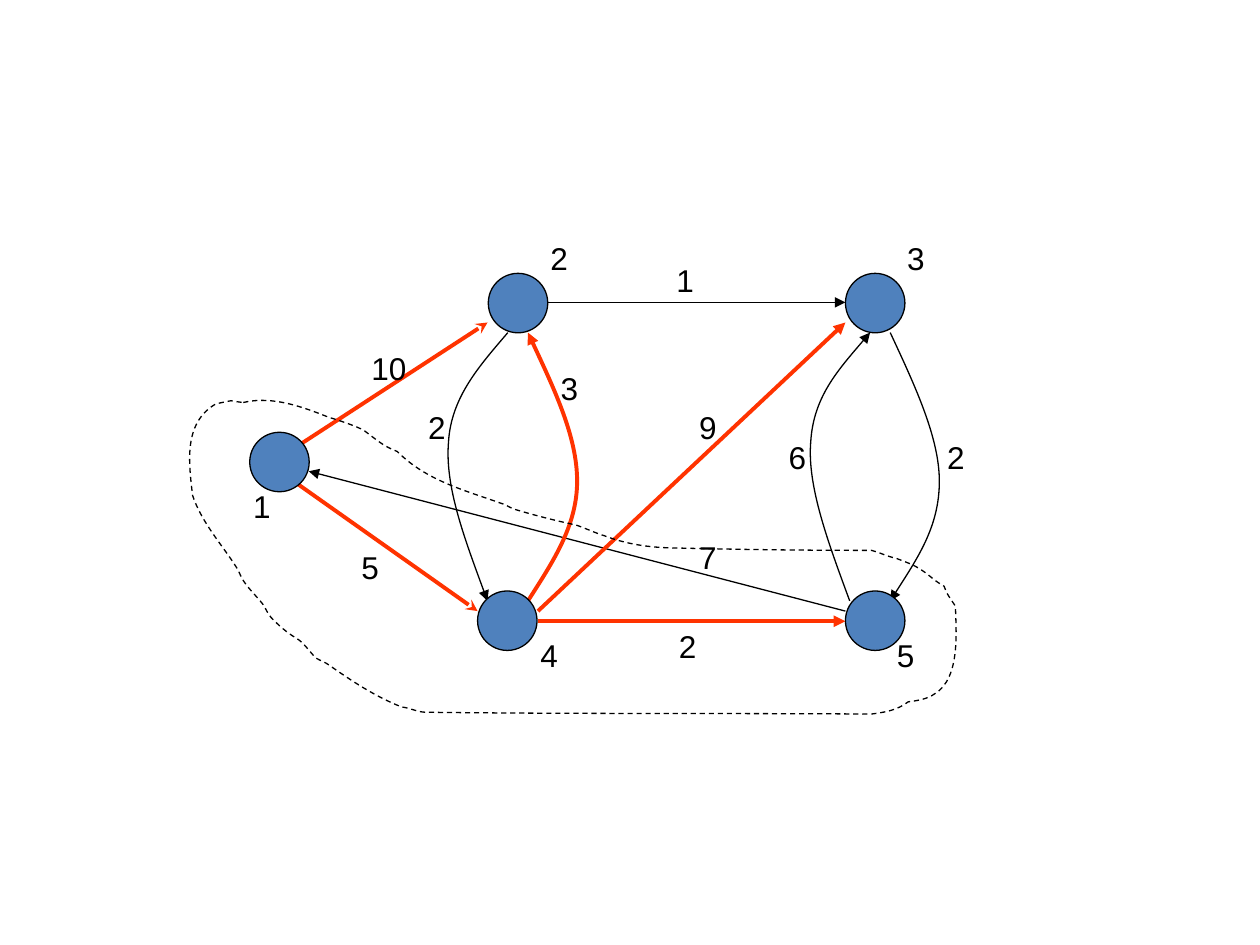
import pptx
import pptx.dml.color
import pptx.enum.dml
import pptx.enum.shapes
import pptx.enum.text
import pptx.oxml.ns
import pptx.util
import lxml.etree

Pt = pptx.util.Pt
qn = pptx.oxml.ns.qn
ORANGE, BLACK, BLUE = "FF3300", "000000", "4F81BD"


def rgb(value):
    return pptx.dml.color.RGBColor.from_string(value)


def style_line(sp, color, width, end=None, arrow="triangle"):
    sp.line.color.rgb = rgb(color)
    sp.line.width = Pt(width)
    props = sp._element.spPr
    if end:
        lxml.etree.SubElement(props.find(qn("a:ln")), qn("a:" + end), type=arrow)
    lxml.etree.SubElement(props, qn("a:effectLst"))


prs = pptx.Presentation()
prs.slide_width, prs.slide_height = Pt(720), Pt(540)
s = prs.slides.add_slide(prs.slide_layouts[6])

straight_edges = [
    (165.6, 257.8, 278.6, 184.3, ORANGE, 2.25, "stealth"),
    (313.2, 172.8, 483.1, 172.8, BLACK, 0.75, "triangle"),
    (159.8, 269.3, 272.9, 349.2, ORANGE, 2.25, "stealth"),
    (307.4, 355, 483.1, 355, ORANGE, 2.25, "triangle"),
    (483.1, 349.2, 176.4, 269.3, BLACK, 0.75, "triangle"),
    (307.4, 349.2, 483.1, 184.3, ORANGE, 2.25, "triangle"),
]
for x1, y1, x2, y2, color, width, arrow in straight_edges:
    edge = s.shapes.add_connector(
        pptx.enum.shapes.MSO_CONNECTOR.STRAIGHT, Pt(x1), Pt(y1), Pt(x2), Pt(y2))
    style_line(edge, color, width, "tailEnd", arrow)

right_arc = [(301.7, 343.4), (315.4, 321.8), (329.8, 301), (329.8, 275),
             (329.8, 249.8), (315.4, 219.6), (301.7, 190.1)]
left_arc = [(290.2, 190.1), (274.3, 208.8), (257.8, 226.8), (256.3, 252.7),
            (254.2, 277.9), (266.4, 310.3), (278.6, 343.4)]
visited_region = [
    (139, 230), (155.5, 226), (173, 232.5), (188, 238.5),
    (190, 239), (204, 243.5), (208, 246),
    (215.5, 251.5), (219, 255), (227, 258),
    (243.5, 274.5), (265, 280), (286, 287.5),
    (288.5, 288), (291, 290), (294, 291),
    (305.5, 294.5), (317.5, 297.5), (329, 300),
    (332.5, 301), (342.5, 305.5), (345, 306),
    (356.5, 310.5), (368.5, 312.5), (381, 313),
    (420, 314), (459.5, 314.5), (498, 314.5),
    (503.5, 316), (507, 318), (512, 319),
    (517, 321), (522, 322.5), (527, 326),
    (531.5, 329), (534, 332), (539.5, 335),
    (540.5, 339), (543.5, 342.5), (546, 346.5),
    (546, 358), (549.5, 387.5), (534, 396.5),
    (530, 399.5), (523.5, 400.5), (519, 401),
    (512.5, 406), (505.5, 407), (498, 408),
    (413.5, 407.5), (328.5, 408), (243.5, 407),
    (238.5, 407), (234.5, 404.5), (229.5, 404),
    (214.5, 398), (201.5, 389.5), (188, 380),
    (186, 378.5), (183, 377.5), (180.5, 376),
    (176.5, 372), (173.5, 367), (169, 364.5),
    (164, 361.5), (160, 358), (156, 354),
    (152.5, 350.5), (152.5, 348.5), (150, 345),
    (146, 340), (141, 335.5), (138, 330),
    (135.5, 324.5), (136, 325.5), (132, 319.5),
    (124, 308), (114.5, 296.5), (110, 283),
    (108, 265), (104.5, 242), (123, 231),
    (124, 230.5), (132, 229), (132, 229),
    (134.5, 229.5), (139, 230), (139, 230),
]
curves = [
    (right_arc, 0, ORANGE, 2.25, "tailEnd"),
    (left_arc, 0, BLACK, 0.75, "tailEnd"),
    (right_arc, 207, BLACK, 0.75, "headEnd"),
    (left_arc, 207, BLACK, 0.75, "headEnd"),
    (visited_region, 0, BLACK, 0.75, None),
]
for points, shift, color, width, end in curves:
    corners = [(Pt(x + shift), Pt(y)) for x, y in points]
    builder = s.shapes.build_freeform(*corners[0], scale=1.0)
    builder.add_line_segments(corners[1:], close=end is None)
    curve = builder.convert_to_shape()
    segments = list(curve._element.iter(qn("a:lnTo")))
    for i in range(0, len(segments), 3):
        bezier = lxml.etree.Element(qn("a:cubicBezTo"))
        segments[i].addprevious(bezier)
        for segment in segments[i:i + 3]:
            bezier.append(segment[0])
            segment.getparent().remove(segment)
    curve.fill.background()
    if end is None:
        curve.line.dash_style = pptx.enum.dml.MSO_LINE.DASH
    style_line(curve, color, width, end)

for x, y in [(142.7, 247), (279, 156.2), (483.1, 156.2), (272.9, 337.7), (483.1, 337.7)]:
    node = s.shapes.add_shape(
        pptx.enum.shapes.MSO_SHAPE.OVAL, Pt(x), Pt(y), Pt(34), Pt(34))
    node.fill.solid()
    node.fill.fore_color.rgb = rgb(BLUE)
    style_line(node, BLACK, 0.75)

node_labels = [("1", 137.5, 275), ("2", 307.4, 133.2), ("3", 511.2, 133.2),
               ("4", 301.7, 360), ("5", 505.4, 360)]
weight_labels = [("1", 379.4, 145.4), ("2", 534.2, 247), ("6", 443.5, 247),
                 ("2", 380.9, 355), ("5", 199.4, 309.6), ("10", 205.2, 195.8),
                 ("3", 313.2, 207.4), ("2", 237.6, 229.7), ("7", 392.4, 303.8),
                 ("9", 392.4, 229.7)]
for text, x, y in node_labels + weight_labels:
    label = s.shapes.add_textbox(Pt(x), Pt(y), Pt(14.4 + 10 * len(text)), Pt(29))
    tf = label.text_frame
    tf.word_wrap = False
    tf.auto_size = pptx.enum.text.MSO_AUTO_SIZE.SHAPE_TO_FIT_TEXT
    tf.text = text
    r = tf.paragraphs[0].runs[0]
    r.font.name = "Arial"
    r.font.size = Pt(18)
    r.font.color.rgb = rgb(BLACK)

prs.save("out.pptx")
